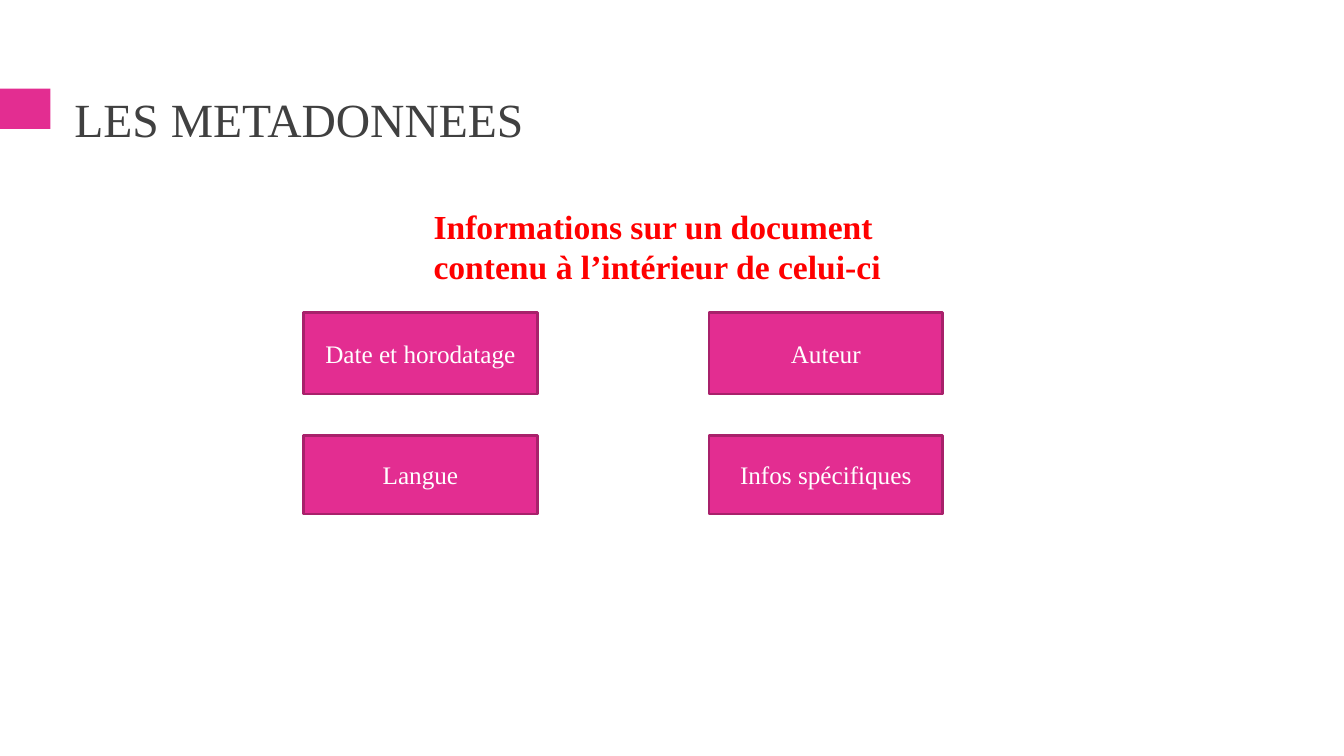
from dataclasses import dataclass
from itertools import product

from pptx import Presentation
from pptx.dml.color import RGBColor
from pptx.enum.shapes import MSO_SHAPE
from pptx.enum.text import MSO_ANCHOR, PP_ALIGN
from pptx.shapes.base import BaseShape
from pptx.slide import Slide
from pptx.util import Inches, Pt

HUES = {"pink": "E32D91", "edge": "A8216B", "dark": "404040",
        "red": "FF0000", "white": "FFFFFF"}
FONT = "Times New Roman"


@dataclass
class Area:
    left: float
    top: float
    width: float
    height: float

    def place(self) -> list[int]:
        return [Inches(v) for v in (self.left, self.top, self.width, self.height)]


@dataclass
class Style:
    size: int
    hue: str
    bold: bool = False
    align: PP_ALIGN = PP_ALIGN.LEFT
    anchor: MSO_ANCHOR = MSO_ANCHOR.MIDDLE
    inset: float = 0.1


def color(name: str) -> RGBColor:
    return RGBColor.from_string(HUES[name])


def write(shape: BaseShape, lines: list[str], style: Style) -> None:
    frame = shape.text_frame
    layout = {"word_wrap": True, "vertical_anchor": style.anchor,
              "margin_left": Inches(style.inset)}
    for key, value in layout.items():
        setattr(frame, key, value)
    frame.text = "\n".join(lines)
    looks = {"name": FONT, "size": Pt(style.size), "bold": style.bold}
    for line in frame.paragraphs:
        line.alignment = style.align
        font = line.runs[0].font
        for key, value in looks.items():
            setattr(font, key, value)
        font.color.rgb = color(style.hue)


def add_text(slide: Slide, area: Area, lines: list[str], style: Style) -> None:
    write(slide.shapes.add_textbox(*area.place()), lines, style)


def add_rect(slide: Slide, area: Area, edge: str | None = None) -> BaseShape:
    shape = slide.shapes.add_shape(MSO_SHAPE.RECTANGLE, *area.place())
    shape.shadow.inherit = False
    shape.fill.solid()
    shape.fill.fore_color.rgb = color("pink")
    if edge:
        shape.line.color.rgb = color(edge)
        shape.line.width = Pt(1.75)
    else:
        shape.line.fill.background()
    return shape


def main() -> None:
    deck = Presentation()
    deck.slide_width, deck.slide_height = Inches(13.33), Inches(7.5)
    slide = deck.slides.add_slide(deck.slide_layouts[6])

    # Title with its accent bar
    add_rect(slide, Area(0, 0.88, 0.5, 0.4))
    add_text(slide, Area(0.64, 0.77, 12.06, 0.81), ["LES METADONNEES"],
             Style(34, "dark"))

    # Definition
    add_text(slide, Area(1.79, 1.99, 9.27, 2.12),
             ["Informations sur un document", "contenu à l’intérieur de celui-ci"],
             Style(24, "red", bold=True, anchor=MSO_ANCHOR.TOP, inset=2.51))

    # Grid of metadata kinds, row by row
    kinds = ["Date et horodatage", "Auteur", "Langue", "Infos spécifiques"]
    rows = [(3.1, 0.81), (4.32, 0.78)]
    label = Style(18, "white", align=PP_ALIGN.CENTER)
    for kind, ((top, height), left) in zip(kinds, product(rows, [3.01, 7.03])):
        box = add_rect(slide, Area(left, top, 2.32, height), "edge")
        write(box, [kind], label)

    deck.save("out.pptx")


if __name__ == "__main__":
    main()
